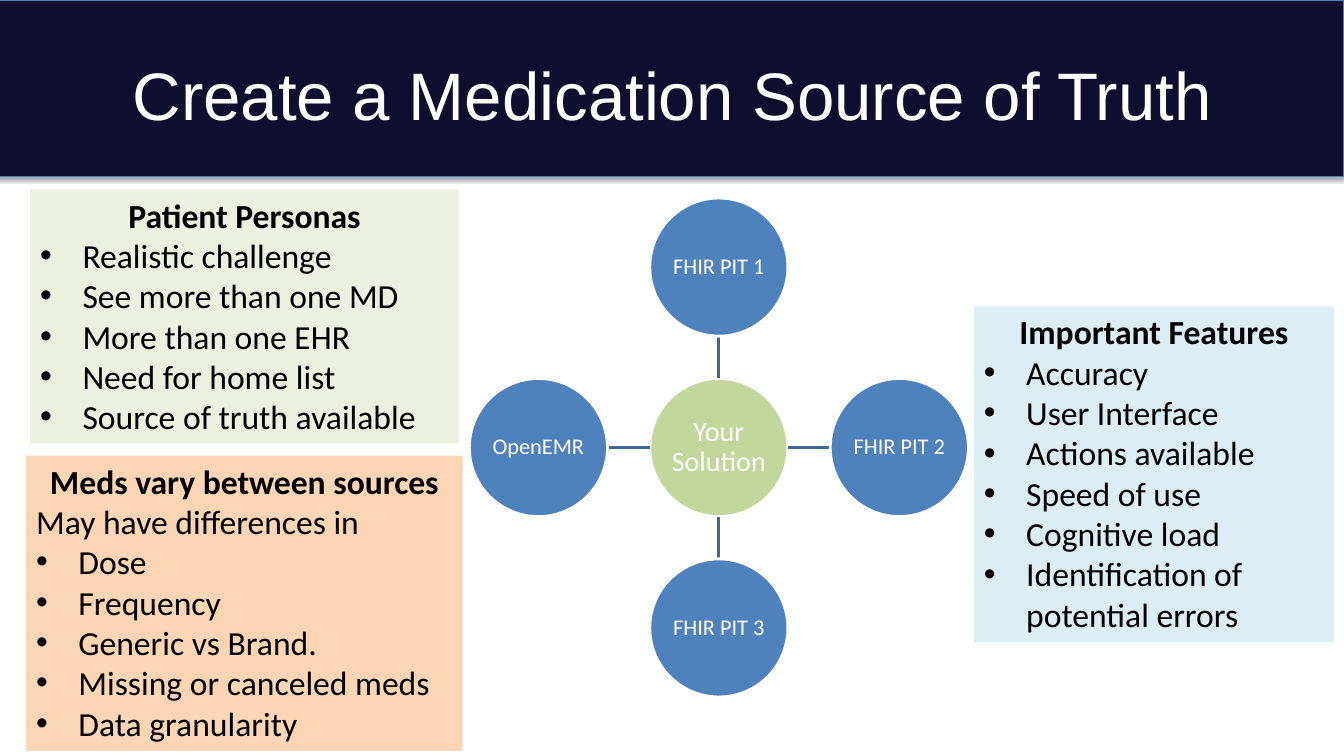
from dataclasses import dataclass

from lxml import etree
from pptx import Presentation
from pptx.dml.color import RGBColor
from pptx.enum.shapes import MSO_CONNECTOR, MSO_SHAPE
from pptx.enum.text import MSO_ANCHOR, MSO_AUTO_SIZE, PP_ALIGN
from pptx.oxml.ns import qn
from pptx.slide import Slide
from pptx.util import Inches, Pt

OVAL, RECT = MSO_SHAPE.OVAL, MSO_SHAPE.RECTANGLE
LINE = MSO_CONNECTOR.STRAIGHT
MIDDLE = MSO_ANCHOR.MIDDLE
GROW = MSO_AUTO_SIZE.SHAPE_TO_FIT_TEXT
CENTER = PP_ALIGN.CENTER

HUB_X, HUB_Y = 7.13, 4.44
SIZE = 1.37
STEP = 1.79
BLUE = "4F81BD"


@dataclass
class Node:
    text: str
    dx: int
    dy: int
    fill: str = BLUE
    size: int = 16


@dataclass
class Panel:
    left: float
    top: float
    width: float
    height: float
    fill: str
    head: str
    items: list[str]
    intro: str = ""


NODES = [
    Node("Your Solution", 0, 0, "C3D69B", 20),
    Node("FHIR PIT 1", 0, -1),
    Node("FHIR PIT 2", 1, 0),
    Node("FHIR PIT 3", 0, 1),
    Node("OpenEMR", -1, 0),
]

PANELS = [
    Panel(0.26, 4.52, 4.33, 2.93, "FCD5B5", "Meds vary between sources",
          ["Dose", "Frequency", "Generic vs Brand.",
           "Missing or canceled meds", "Data granularity"],
          "May have differences in"),
    Panel(9.66, 3.04, 3.57, 3.33, "DBEEF4", "Important Features",
          ["Accuracy", "User Interface", "Actions available", "Speed of use",
           "Cognitive load", "Identification of potential errors"]),
    Panel(0.3, 1.88, 4.25, 2.52, "EBF1DE", "Patient Personas",
          ["Realistic challenge", "See more than one MD",
           "More than one EHR", "Need for home list",
           "Source of truth available"]),
]


def paint(form, code: str) -> None:
    form.solid()
    form.fore_color.rgb = RGBColor.from_string(code)


def style(para, size: int, code: str, face: str = "Calibri", bold: bool = False) -> None:
    for run in para.runs:
        run.font.name = face
        run.font.size = Pt(size)
        run.font.bold = bold
        paint(run.font.fill, code)


def draw_head(slide: Slide) -> None:
    band = slide.shapes.add_shape(RECT, Inches(-0.05), 0, Inches(13.38), Inches(1.75))
    paint(band.fill, "100E2F")
    paint(band.line.fill, "4B7EBC")
    band.line.width = Pt(0.75)
    band.shadow.inherit = False
    glow = etree.SubElement(
        band._element.spPr.find(qn("a:effectLst")), qn("a:outerShdw"),
        blurRad=str(Pt(3.1)), dist=str(Pt(1.8)), dir="5400000", rotWithShape="0")
    tint = etree.SubElement(glow, qn("a:srgbClr"), val="000000")
    etree.SubElement(tint, qn("a:alpha"), val="35000")

    title = slide.shapes.title
    band._element.addnext(title._element)
    title.left, title.top = Inches(0.67), Inches(0.3)
    title.width, title.height = Inches(12), Inches(1.25)
    frame = title.text_frame
    frame.text = "Create a Medication Source of Truth"
    frame.vertical_anchor = MIDDLE
    frame.paragraphs[0].alignment = CENTER
    style(frame.paragraphs[0], 48, "FFFFFF", "Arial")


def draw_spoke(slide: Slide, node: Node) -> None:
    near, far = SIZE / 2, STEP - SIZE / 2
    spoke = slide.shapes.add_connector(
        LINE,
        Inches(HUB_X + node.dx * near), Inches(HUB_Y + node.dy * near),
        Inches(HUB_X + node.dx * far), Inches(HUB_Y + node.dy * far))
    paint(spoke.line.fill, "3F6797")
    spoke.line.width = Pt(2)
    etree.SubElement(spoke._element.spPr, qn("a:effectLst"))


def draw_node(slide: Slide, node: Node) -> None:
    disc = slide.shapes.add_shape(
        OVAL,
        Inches(HUB_X + node.dx * STEP - SIZE / 2),
        Inches(HUB_Y + node.dy * STEP - SIZE / 2),
        Inches(SIZE), Inches(SIZE))
    disc.shadow.inherit = False
    paint(disc.fill, node.fill)
    paint(disc.line.fill, "FFFFFF")
    disc.line.width = Pt(2)
    frame = disc.text_frame
    frame.margin_left = frame.margin_right = Inches(0.01)
    frame.margin_top = frame.margin_bottom = Inches(0.01)
    frame.word_wrap = True
    frame.vertical_anchor = MIDDLE
    frame.text = node.text
    para = frame.paragraphs[0]
    para.alignment = CENTER
    para.line_spacing = 0.9
    style(para, node.size, "FFFFFF")


def add_bullet(para) -> None:
    props = para._p.get_or_add_pPr()
    props.set("marL", str(Inches(0.42)))
    props.set("indent", str(Inches(-0.42)))
    etree.SubElement(props, qn("a:buFont"), typeface="Arial")
    etree.SubElement(props, qn("a:buChar"), char="•")


def draw_panel(slide: Slide, panel: Panel) -> None:
    box = slide.shapes.add_textbox(
        Inches(panel.left), Inches(panel.top),
        Inches(panel.width), Inches(panel.height))
    paint(box.fill, panel.fill)
    frame = box.text_frame
    frame.word_wrap = True
    frame.auto_size = GROW
    head = frame.paragraphs[0]
    head.text = panel.head
    head.alignment = CENTER
    style(head, 24, "000000", bold=True)
    if panel.intro:
        intro = frame.add_paragraph()
        intro.text = panel.intro
        style(intro, 24, "000000")
    for item in panel.items:
        para = frame.add_paragraph()
        para.text = item
        add_bullet(para)
        style(para, 24, "000000")


def main() -> None:
    deck = Presentation()
    deck.slide_width, deck.slide_height = Inches(13.33), Inches(7.5)
    slide = deck.slides.add_slide(deck.slide_layouts[5])
    draw_head(slide)
    for node in NODES:
        if node.dx or node.dy:
            draw_spoke(slide, node)
        draw_node(slide, node)
    for panel in PANELS:
        draw_panel(slide, panel)
    deck.save("out.pptx")


if __name__ == "__main__":
    main()
